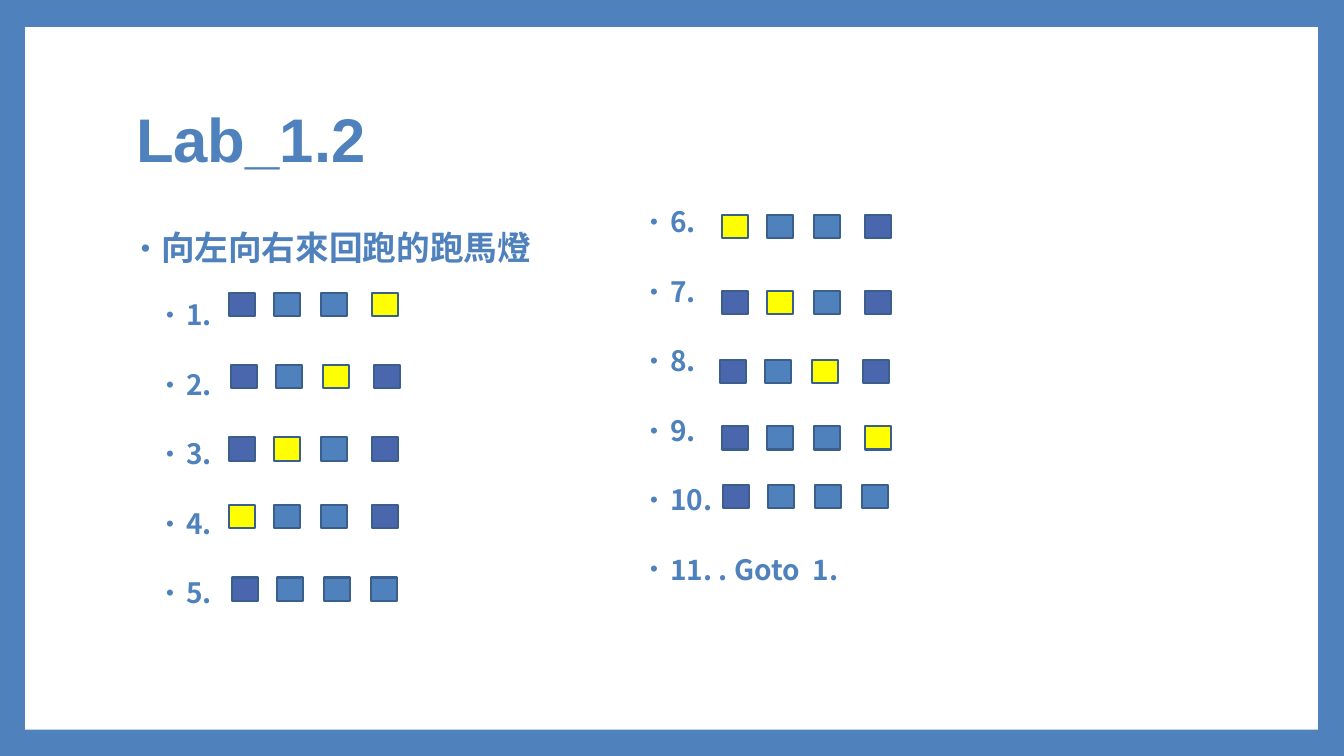
from lxml import etree
from pptx import Presentation
from pptx.dml.color import RGBColor
from pptx.enum.shapes import MSO_SHAPE
from pptx.enum.text import MSO_ANCHOR, MSO_AUTO_SIZE, PP_ALIGN
from pptx.oxml.ns import qn
from pptx.util import Inches, Pt

RECTANGLE = MSO_SHAPE.RECTANGLE
MIDDLE, LEFT, NO_FIT = MSO_ANCHOR.MIDDLE, PP_ALIGN.LEFT, MSO_AUTO_SIZE.NONE

COLORS = {"blue": "4F81BD", "dark": "4A66AC", "lit": "FFFF00",
          "outline": "3A5F8C", "white": "FFFFFF"}
TITLE_FONT, BODY_FONT = "Arial", "Noto Sans CJK SC"

HEADING = {"size": 24, "before": 14, "after": 0, "indent": 0.25}
STEP = {"size": 20, "before": 24, "after": 4, "indent": 0.5}
HANGING = 0.2

LAMP_SIZE = (0.26, 0.23)
LAMP_OFFSETS = (0, 0.45, 0.91, 1.42)
ALL_OFF_OFFSETS = (0, 0.45, 0.91, 1.38)
# Left, top and index of the lit lamp (None when all are off)
LAMP_ROWS = [
    (2.27, 2.91, 3), (2.29, 3.62, 2), (2.27, 4.34, 1), (2.27, 5.01, 0), (2.3, 5.73, None),
    (7.16, 2.13, 0), (7.16, 2.89, 1), (7.14, 3.57, 2), (7.16, 4.23, 3), (7.17, 4.81, None),
]


def rgb(name):
    """Return the palette colour with this name."""
    return RGBColor.from_string(COLORS[name])


def set_all(target, values):
    """Set each attribute of target from a dict."""
    for name, value in values.items():
        setattr(target, name, value)


class SlideBuilder:
    """Holds the current slide and its style."""

    def __init__(self, page):
        """Start on a page with the frame colour as background."""
        self.page = page
        page.background.fill.solid()
        page.background.fill.fore_color.rgb = rgb("blue")

    def rectangle(self, parent, place, fill, outline=None):
        """Add a rectangle to a shape collection."""
        box = parent.add_shape(RECTANGLE, *map(Inches, place))
        box.shadow.inherit = False
        box.fill.solid()
        box.fill.fore_color.rgb = rgb(fill)
        if outline:
            box.line.color.rgb = rgb(outline)
            box.line.width = Pt(1.5)
        else:
            box.line.fill.background()
        return box

    def panel(self, place):
        """Add the white panel behind everything else."""
        panel = self.rectangle(self.page.shapes, place, "white")
        self.page.shapes.title.element.addprevious(panel.element)

    def span(self, para, text, font, size):
        """Add bold blue text to a paragraph."""
        span = para.add_run()
        span.text = text
        set_all(span.font, {"name": font, "size": Pt(size), "bold": True})
        span.font.color.rgb = rgb("blue")
        east_asian = etree.SubElement(span.font._element, qn("a:ea"))
        east_asian.set("typeface", font)

    def title(self, text, place):
        """Move and fill the title placeholder."""
        title = self.page.shapes.title
        set_all(title, dict(zip(("left", "top", "width", "height"), map(Inches, place))))
        set_all(title.text_frame, {"vertical_anchor": MIDDLE, "word_wrap": True,
                                   "auto_size": NO_FIT})
        para = title.text_frame.paragraphs[0]
        set_all(para, {"alignment": LEFT, "line_spacing": 0.9})
        self.span(para, text, TITLE_FONT, 44)

    def bullet(self, para, indent):
        """Give a paragraph a hanging round bullet."""
        props = para._p.get_or_add_pPr()
        props.set("marL", str(Inches(indent)))
        props.set("indent", str(-Inches(HANGING)))
        color = etree.SubElement(props, qn("a:buClr"))
        etree.SubElement(color, qn("a:srgbClr")).set("val", COLORS["blue"])
        for tag, name, value in (("a:buSzPct", "val", "80000"),
                                 ("a:buFont", "typeface", "Arial"),
                                 ("a:buChar", "char", "•")):
            etree.SubElement(props, qn(tag)).set(name, value)

    def bullets(self, place, items, top_margin=0.05):
        """Add a text box of bulleted (text, format) items."""
        box = self.page.shapes.add_textbox(*map(Inches, place))
        frame = box.text_frame
        set_all(frame, {"word_wrap": True, "auto_size": NO_FIT,
                        "margin_top": Inches(top_margin)})
        for index, (text, style) in enumerate(items):
            para = frame.add_paragraph() if index else frame.paragraphs[0]
            set_all(para, {"level": int(style is STEP), "line_spacing": 0.9,
                           "space_before": Pt(style["before"]),
                           "space_after": Pt(style["after"])})
            self.bullet(para, style["indent"])
            self.span(para, text, BODY_FONT, style["size"])

    def lamps(self, left, top, lit):
        """Add a grouped row of four lamps with at most one lit."""
        group = self.page.shapes.add_group_shape()
        fills = ["dark", "blue", "blue", "blue" if lit is None else "dark"]
        if lit is not None:
            fills[lit] = "lit"
        offsets = ALL_OFF_OFFSETS if lit is None else LAMP_OFFSETS
        for offset, fill in zip(offsets, fills):
            self.rectangle(group.shapes, (left + offset, top, *LAMP_SIZE), fill, "outline")


def main():
    """Build and save the slide."""
    deck = Presentation()
    set_all(deck, {"slide_width": Inches(13.33), "slide_height": Inches(7.5)})
    slide = SlideBuilder(deck.slides.add_slide(deck.slide_layouts[5]))
    slide.panel((0.25, 0.27, 12.82, 6.97))
    slide.title("Lab_1.2", (1.25, 0.67, 10.8, 1.48))
    first_steps = [(f"{number}.", STEP) for number in range(1, 6)]
    last_steps = [(f"{number}.", STEP) for number in range(6, 11)]
    slide.bullets((1.25, 2.25, 4.72, 4.5), [("向左向右來回跑的跑馬燈", HEADING)] + first_steps)
    slide.bullets((6.05, 1.33, 4.72, 5.41), last_steps + [("11. . Goto  1.", STEP)],
                  top_margin=0.74)
    for row in LAMP_ROWS:
        slide.lamps(*row)
    deck.save("out.pptx")


main()
